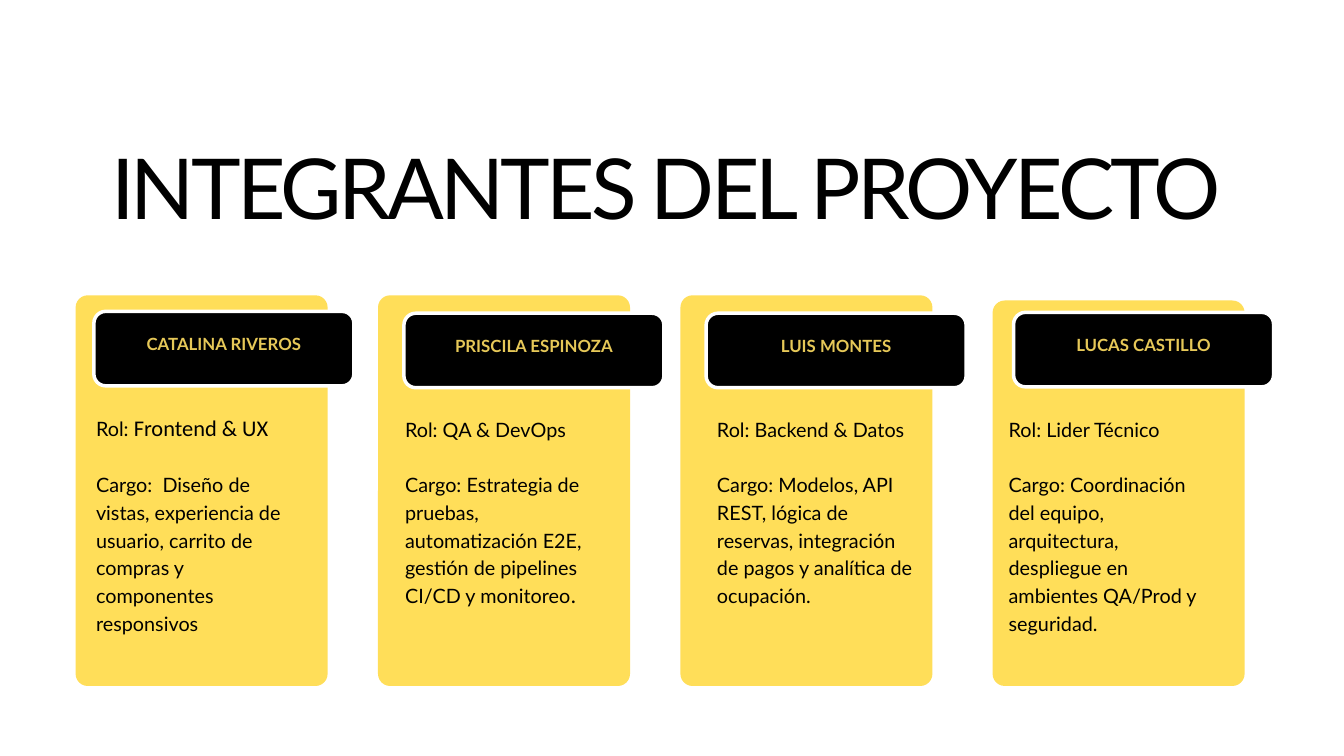
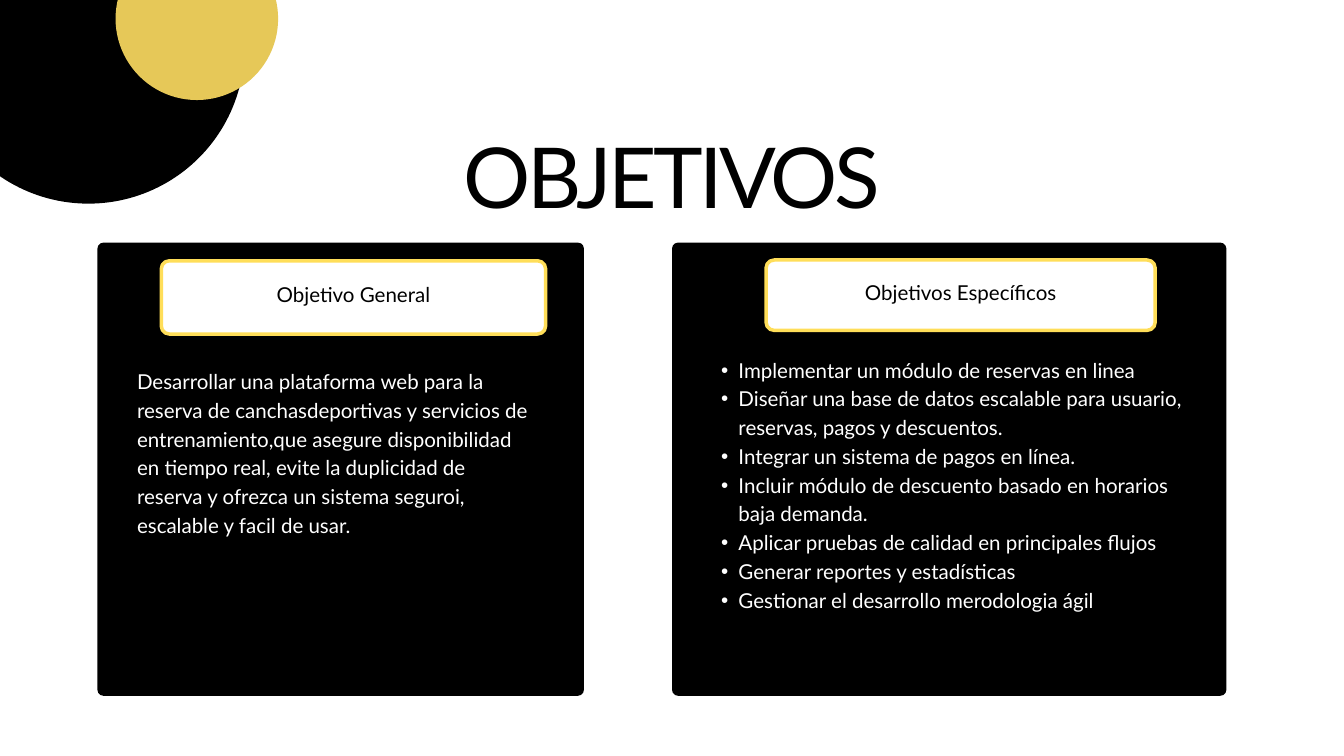
from dataclasses import dataclass

import pptx
import pptx.dml.color
import pptx.enum.shapes
import pptx.enum.text
import pptx.oxml
import pptx.oxml.ns
import pptx.util

Pt = pptx.util.Pt
RGB = pptx.dml.color.RGBColor.from_string
SHAPES = pptx.enum.shapes.MSO_SHAPE
ALIGN = pptx.enum.text.PP_ALIGN
ANCHOR = pptx.enum.text.MSO_ANCHOR
AUTO_SIZE = pptx.enum.text.MSO_AUTO_SIZE

TITLE_AND_CONTENT, TITLE_ONLY = 1, 5


@dataclass(frozen=True)
class Theme:
    black: str = "000000"
    white: str = "FFFFFF"
    yellow: str = "FFDE59"
    gold: str = "E6C858"
    font: str = "Lato"
    accent_font: str = "Calibri"
    title_size: float = 90
    title_tracking: float = -4
    name_size: float = 18
    member_size: float = 21.2
    accent_size: float = 24
    goal_size: float = 22
    border: float = 3.75


class Deck:
    """Holds the theme and the slide being filled; boxes are (left, top, width, height) in points."""

    def __init__(self, theme):
        self.theme = theme
        self.presentation = pptx.Presentation()
        self.presentation.slide_width = Pt(1440)
        self.presentation.slide_height = Pt(810)
        self.slide = None

    def new_slide(self, layout):
        self.slide = self.presentation.slides.add_slide(self.presentation.slide_layouts[layout])

    def place(self, holder, box):
        holder.left, holder.top, holder.width, holder.height = map(Pt, box)

    def frame(self, shape, insets=(0, 0, 0, 0), anchor=ANCHOR.TOP, auto_size=AUTO_SIZE.SHAPE_TO_FIT_TEXT):
        text_frame = shape.text_frame
        text_frame.word_wrap = True
        text_frame.auto_size = auto_size
        text_frame.vertical_anchor = anchor
        (text_frame.margin_left, text_frame.margin_top,
         text_frame.margin_right, text_frame.margin_bottom) = map(Pt, insets)
        return text_frame

    def style(self, paragraph, size, color, leading, align=ALIGN.LEFT, bold=False):
        paragraph.alignment = align
        paragraph.line_spacing = Pt(leading)
        paragraph.space_before = paragraph.space_after = Pt(0)
        for run in paragraph.runs:
            run.font.name = self.theme.font
            run.font.size = Pt(size)
            run.font.bold = bold
            run.font.color.rgb = RGB(color)

    def title(self, text, box, leading):
        heading = self.slide.shapes.title
        self.place(heading, box)
        text_frame = self.frame(heading)
        text_frame.text = text
        paragraph = text_frame.paragraphs[0]
        self.style(paragraph, self.theme.title_size, self.theme.black, leading, ALIGN.CENTER)
        tracking = str(self.theme.title_tracking * 100)
        paragraph.runs[0]._r.get_or_add_rPr().set("spc", tracking)

    def shape(self, preset, box, fill, border=None, radius=None):
        outline = self.slide.shapes.add_shape(preset, *map(Pt, box))
        outline.shadow.inherit = False
        outline.fill.solid()
        outline.fill.fore_color.rgb = RGB(fill)
        if border:
            outline.line.color.rgb = RGB(border)
            outline.line.width = Pt(self.theme.border)
        else:
            outline.line.fill.background()
        if radius:
            outline.adjustments[0] = radius / min(box[2:])
        return outline

    def circle(self, box, fill):
        self.shape(SHAPES.OVAL, box, fill)

    def card(self, box, fill, radius):
        self.shape(SHAPES.ROUNDED_RECTANGLE, box, fill, radius=radius)

    def badge(self, text, box, fill, border, radius, lift, size, color, bold=False):
        """Bordered label whose text sits above the middle by half of lift."""
        label = self.shape(SHAPES.ROUNDED_RECTANGLE, box, fill, border, radius)
        text_frame = self.frame(label, (4, 4, 4, 4 + lift), ANCHOR.MIDDLE, AUTO_SIZE.NONE)
        text_frame.text = text
        self.style(text_frame.paragraphs[0], size, color, size * 1.4, ALIGN.CENTER, bold)

    def text(self, paragraphs, box, size, color, leading, gap=0):
        """Text box; whatever follows a | in a paragraph takes the accent font."""
        text_frame = self.frame(self.slide.shapes.add_textbox(*map(Pt, box)))
        plain_texts, _, accents = zip(*(entry.partition("|") for entry in paragraphs))
        text_frame.text = "\n".join(plain_texts)
        for index, (paragraph, accent) in enumerate(zip(text_frame.paragraphs, accents)):
            if accent:
                paragraph.add_run().text = accent
            self.style(paragraph, size, color, leading)
            if accent:
                paragraph.runs[-1].font.name = self.theme.accent_font
                paragraph.runs[-1].font.size = Pt(self.theme.accent_size)
            if index:
                paragraph.space_before = Pt(gap)

    def bullets(self, items, box, size, color, leading):
        body = self.slide.placeholders[1]
        self.slide.shapes._spTree.append(body._element)  # bring in front of the panel
        self.place(body, box)
        text_frame = self.frame(body)
        text_frame.text = "\n".join(items)
        for paragraph in text_frame.paragraphs:
            self.style(paragraph, size, color, leading)
            properties = paragraph._p.get_or_add_pPr()
            properties.set("marL", str(Pt(37.44)))
            properties.set("indent", str(Pt(-18.72)))
            bullet = pptx.oxml.parse_xml(f'<a:buChar {pptx.oxml.ns.nsdecls("a")} char="•"/>')
            properties.append(bullet)


# Name, role, duty, then card left and top, badge left and top, text left
MEMBERS = [
    ("CATALINA RIVEROS", "Rol: |Frontend & UX",
     "Cargo:  Diseño de vistas, experiencia de usuario, carrito de compras y componentes responsivos",
     81, 316.4, 100.6, 333.6, 102.9),
    ("PRISCILA ESPINOZA", "Rol: QA & DevOps",
     "Cargo: Estrategia de pruebas, automatización E2E, gestión de pipelines CI/CD y monitoreo|.",
     405, 316.4, 432.8, 335.6, 434),
    ("LUIS MONTES", "Rol: Backend & Datos",
     "Cargo: Modelos, API REST, lógica de reservas, integración de pagos y analítica de ocupación.",
     729, 316.4, 756.6, 335.6, 768.2),
    ("LUCAS CASTILLO", "Rol: Lider Técnico",
     "Cargo: Coordinación del equipo, arquitectura, despliegue en ambientes QA/Prod y seguridad.",
     1063.5, 322, 1086, 334.7, 1080.7),
]
CARD_BOTTOM = 735

GENERAL_GOAL = (
    "Desarrollar una plataforma web para la reserva de canchasdeportivas y servicios de "
    "entrenamiento,que asegure disponibilidad en tiempo real, evite la duplicidad de reserva "
    "y ofrezca un sistema seguroi, escalable y facil de usar."
)
SPECIFIC_GOALS = [
    "Implementar un módulo de reservas en linea",
    "Diseñar una base de datos escalable para usuario, reservas, pagos y descuentos.",
    "Integrar un sistema de pagos en línea.",
    "Incluir módulo de descuento basado en horarios baja demanda.",
    "Aplicar pruebas de calidad en principales flujos",
    "Generar reportes y estadísticas",
    "Gestionar el desarrollo merodologia ágil",
]
# Heading, panel left and width, heading box
GOAL_PANELS = [
    ("Objetivo General", 104.4, 521.3, (172.8, 279.4, 411.8, 78.5)),
    ("Objetivos Específicos", 720, 594, (820.8, 278.6, 416.9, 75.4)),
]


def members_slide(deck):
    theme = deck.theme
    deck.new_slide(TITLE_ONLY)
    deck.title("INTEGRANTES DEL PROYECTO", (80.6, 161.3, 1265.8, 95.8), 91.8)
    for name, role, duty, card_left, card_top, badge_left, badge_top, text_left in MEMBERS:
        deck.card((card_left, card_top, 270, CARD_BOTTOM - card_top), theme.yellow, 13)
        deck.badge(name, (badge_left, badge_top, 278.6, 79.8), theme.black, theme.white,
                   12.7, 13.7, theme.name_size, theme.gold, bold=True)
        deck.text([role, duty], (text_left, 443, 214.6, 240), theme.member_size,
                  theme.black, 29.7, gap=29.7)


def goals_slide(deck):
    theme = deck.theme
    deck.new_slide(TITLE_AND_CONTENT)
    deck.circle((-72.7, -116.6, 334.8, 334.8), theme.black)
    deck.circle((123.8, -67, 174.2, 174.2), theme.gold)
    deck.title("OBJETIVOS", (202.3, 115.9, 1034.6, 121.7), 126)
    for heading, left, width, heading_box in GOAL_PANELS:
        deck.card((left, 259.9, width, 485.6), theme.black, 6.5)
        deck.badge(heading, heading_box, theme.white, theme.yellow, 8.6, 11.5,
                   theme.goal_size, theme.black)
    deck.text([GENERAL_GOAL], (146.9, 391, 427, 214.6), theme.goal_size, theme.white, 30.8)
    deck.bullets(SPECIFIC_GOALS, (753.8, 378.7, 527, 337.7), theme.goal_size, theme.white, 30.8)


def main():
    deck = Deck(Theme())
    members_slide(deck)
    goals_slide(deck)
    deck.presentation.save("out.pptx")


if __name__ == "__main__":
    main()
